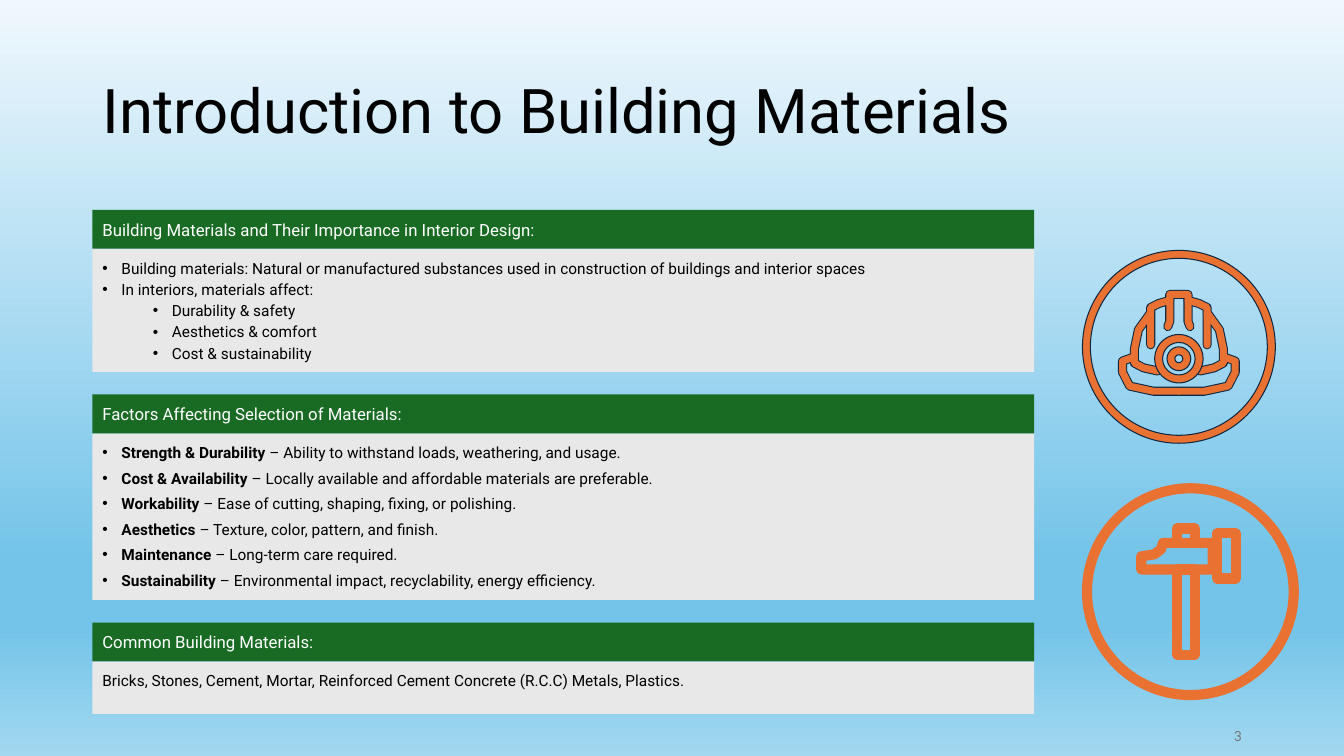
"""Build the slide that introduces building materials."""
from lxml import etree
from pptx import Presentation
from pptx.dml.color import RGBColor
from pptx.enum.shapes import MSO_SHAPE
from pptx.enum.text import MSO_ANCHOR, MSO_AUTO_SIZE, PP_ALIGN
from pptx.oxml.ns import qn
from pptx.util import Cm, Pt

RECTANGLE, DONUT = MSO_SHAPE.RECTANGLE, MSO_SHAPE.DONUT
TOP, MIDDLE = MSO_ANCHOR.TOP, MSO_ANCHOR.MIDDLE
LEFT, RIGHT = PP_ALIGN.LEFT, PP_ALIGN.RIGHT
NO_FIT = MSO_AUTO_SIZE.NONE
FONT = "Roboto"
COLORS = {"black": "000000", "white": "FFFFFF", "green": "196B24", "panel": "E8E8E8",
          "orange": "E97132", "navy": "0E2841", "number": "797979"}
COLORS = {name: RGBColor.from_string(value) for name, value in COLORS.items()}
SKY = [(0, "F0F8FD"), (74, "74C4E9"), (83, "74C4E9"), (100, "A2D8F0")]

SECTIONS = [
    ("Building Materials and Their Importance in Interior Design:", 3.1, 1, 1, [
        (0, "", "Building materials: Natural or manufactured substances used in "
                "construction of buildings and interior spaces"),
        (0, "", "In interiors, materials affect:"),
        (1, "", "Durability & safety"),
        (1, "", "Aesthetics & comfort"),
        (1, "", "Cost & sustainability")]),
    ("Factors Affecting Selection of Materials:", 4.2, 2, 3, [
        (0, "Strength & Durability", " – Ability to withstand loads, weathering, and usage."),
        (0, "Cost & Availability", " – Locally available and affordable materials are preferable."),
        (0, "Workability", " – Ease of cutting, shaping, fixing, or polishing."),
        (0, "Aesthetics", " – Texture, color, pattern, and finish."),
        (0, "Maintenance", " – Long-term care required."),
        (0, "Sustainability", " – Environmental impact, recyclability, energy efficiency.")]),
    ("Common Building Materials:", 1.32, 2, 3, [
        (None, "", "Bricks, Stones, Cement, Mortar, Reinforced Cement Concrete (R.C.C) "
                   "Metals, Plastics.")]),
]
PANEL_LEFT, PANEL_WIDTH, HEADING_HEIGHT, SECTION_GAP = 2.33, 23.73, 0.98, 0.57

prs = Presentation()
prs.slide_width, prs.slide_height = Cm(33.87), Cm(19.05)
slide = prs.slides.add_slide(prs.slide_layouts[3])
shapes = slide.shapes

sky = slide.background.fill
sky.gradient()
sky.gradient_angle = 270
stops = slide.element.find(".//" + qn("a:gsLst"))
for stop in list(stops):
    stops.remove(stop)
for position, value in SKY:
    stop = etree.SubElement(stops, qn("a:gs"), pos=str(position * 1000))
    etree.SubElement(stop, qn("a:srgbClr"), val=value)

title, *list_panels = slide.placeholders
title.left, title.top, title.width, title.height = Cm(2.33), Cm(1.02), Cm(29.21), Cm(3.68)
title.text_frame.text = "Introduction to Building Materials"
title.text_frame.auto_size = NO_FIT
title.text_frame.vertical_anchor = MIDDLE
headline = title.text_frame.paragraphs[0]
headline.alignment, headline.line_spacing = LEFT, 0.9
headline.font.name, headline.font.size = FONT, Pt(44)
headline.font.color.rgb = COLORS["black"]


def style_panel(panel, color, anchor):
    panel.fill.solid()
    panel.fill.fore_color.rgb = COLORS[color]
    panel.line.fill.background()
    frame = panel.text_frame
    frame.word_wrap, frame.auto_size, frame.vertical_anchor = True, NO_FIT, anchor
    frame.margin_left = frame.margin_right = frame.margin_top = frame.margin_bottom = Cm(0.25)
    return frame


top = 5.29
for heading, height, before, after, items in SECTIONS:
    bar = shapes.add_shape(RECTANGLE, Cm(PANEL_LEFT), Cm(top), Cm(PANEL_WIDTH), Cm(HEADING_HEIGHT))
    bar.shadow.inherit = False
    bar_frame = style_panel(bar, "green", MIDDLE)
    bar_frame.text = heading
    bar_text = bar_frame.paragraphs[0]
    bar_text.alignment = LEFT
    bar_text.font.name, bar_text.font.size = FONT, Pt(12)
    bar_text.font.color.rgb = COLORS["white"]

    top += HEADING_HEIGHT
    place = Cm(PANEL_LEFT), Cm(top), Cm(PANEL_WIDTH), Cm(height)
    if list_panels:
        panel = list_panels.pop(0)
        panel.left, panel.top, panel.width, panel.height = place
    else:
        panel = shapes.add_shape(RECTANGLE, *place)
        panel.shadow.inherit = False
    frame = style_panel(panel, "panel", TOP)
    for index, (level, term, detail) in enumerate(items):
        entry = frame.add_paragraph() if index else frame.paragraphs[0]
        entry.alignment = LEFT
        entry.space_before, entry.space_after = Pt(before if index else 0), Pt(after)
        if level is not None:
            entry.level = level
            props = entry._p.get_or_add_pPr()
            props.set("marL", str(Cm(0.48 + 1.27 * level)))
            props.set("indent", str(Cm(-0.48)))
            etree.SubElement(props, qn("a:buFont"), typeface="Arial")
            etree.SubElement(props, qn("a:buChar"), char="•")
        for words, bold in ((term, True), (detail, False)):
            if words:
                run = entry.add_run()
                run.text = words
                run.font.name, run.font.size, run.font.bold = FONT, Pt(11), bold
                run.font.color.rgb = COLORS["black"]
    top += height + SECTION_GAP


def draw_strokes(strokes, center, color, weight):
    builder = shapes.build_freeform(*strokes[0][0], scale=Cm(0.01))
    for stroke in strokes:
        builder.move_to(*stroke[0])
        builder.add_line_segments(stroke[1:], close=False)
    outline = builder.convert_to_shape(Cm(center[0]), Cm(center[1]))
    outline.shadow.inherit = False
    outline.fill.background()
    outline.line.color.rgb = COLORS[color]
    outline.line.width = Pt(weight)
    line = outline.line._get_or_add_ln()
    line.set("cap", "rnd")
    etree.SubElement(line, qn("a:round"))


HELMET, HAMMER = (29.71, 8.74), (30, 14.91)
brim = [(0, 112), (-64, 112), (-124, 99), (-142, 64), (-142, 36), (-112, 25)]
shell = [(-53, 61), (-89, 53), (-112, 41), (-112, 5), (-102, -43), (-71, -86)]
crown = [(-71, -5), (-71, -99), (-51, -109), (-23, -117), (-23, -132), (0, -132)]
rib = [(-23, -117), (-23, -64), (-28, -51)]
helmet = [[(side * x, y) for x, y in half] for half in (brim, shell, crown, rib) for side in (1, -1)]
for color, weight in (("navy", 6.5), ("orange", 5)):
    draw_strokes(helmet, HELMET, color, weight)

head = [(-69, -123), (-74, -107), (-91, -94), (-124, -89), (-124, -56), (56, -56), (56, -123)]
face = [(68, -147), (114, -147), (114, -33), (68, -33)]
handle = [(-34, -56), (-34, 159), (11, 159), (11, -56)]
cap = [(-34, -123), (-34, -159), (11, -159), (11, -123)]
hammer = [part + part[:1] for part in (head, face, handle, cap)]
draw_strokes(hammer, HAMMER, "orange", 7.25)

RINGS = [(HELMET, 0, 2.43, 0.2, "navy"), (HELMET, 0.3, 0.61, 0.2, "navy"),
         (HELMET, 0.3, 0.3, 0.2, "navy"), (HAMMER, 0, 2.72, 0.23, "orange")]
for (x, y), drop, radius, band, edge in RINGS:
    ring = shapes.add_shape(DONUT, Cm(x - radius), Cm(y + drop - radius), Cm(2 * radius), Cm(2 * radius))
    ring.adjustments[0] = band / (2 * radius)
    ring.shadow.inherit = False
    ring.fill.solid()
    ring.fill.fore_color.rgb = COLORS["orange"]
    ring.line.color.rgb = COLORS[edge]
    ring.line.width = Pt(0.75)

page = shapes.add_textbox(Cm(23.93), Cm(18.03), Cm(7.62), Cm(1.02)).text_frame
page.word_wrap, page.vertical_anchor = True, MIDDLE
page.text = "3"
number = page.paragraphs[0]
number.alignment = RIGHT
number.font.name, number.font.size = FONT, Pt(10)
number.font.color.rgb = COLORS["number"]

prs.save("out.pptx")
